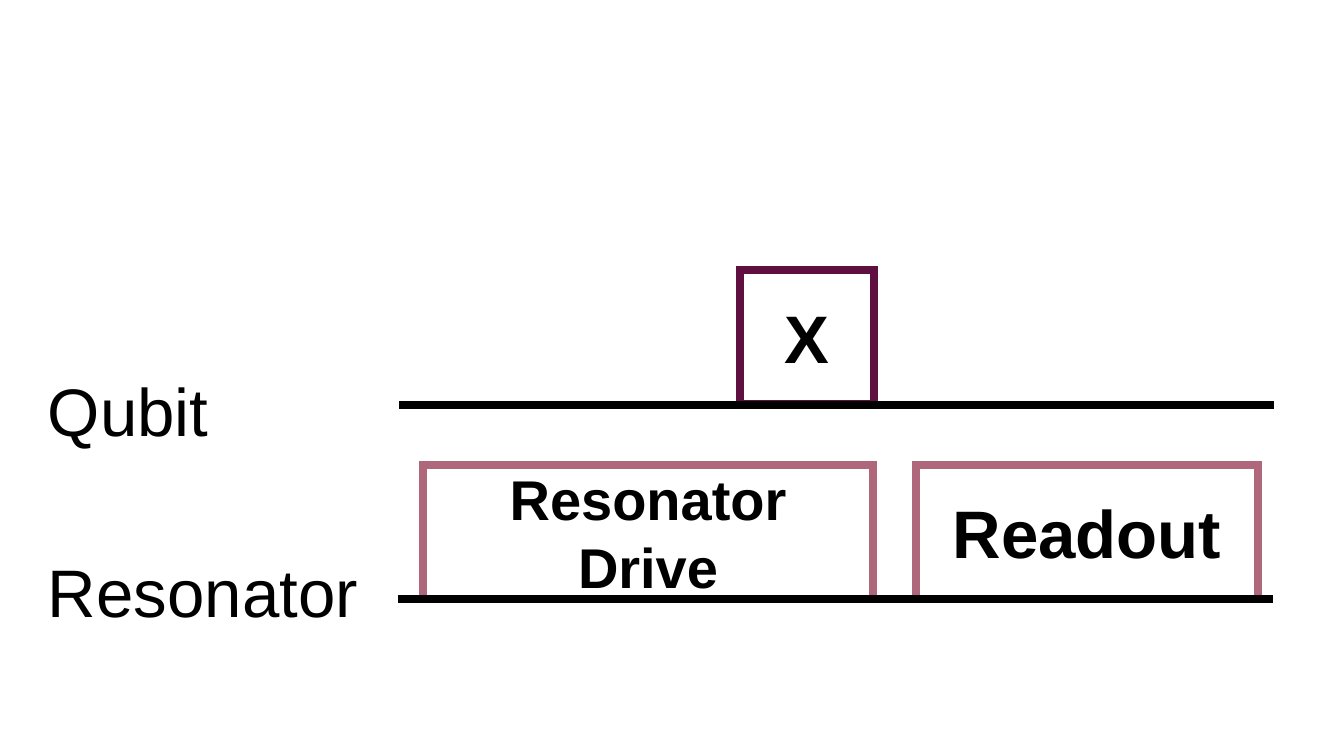
from dataclasses import dataclass

from lxml import etree
from pptx import Presentation
from pptx import util as u
from pptx.dml.color import RGBColor
from pptx.enum import shapes, text
from pptx.oxml.ns import qn

PX = 914400 / 100.8


@dataclass(frozen=True)
class Theme:
    font: str = "Arial"
    ink: str = "000000"
    resonator: str = "AF677C"
    qubit: str = "5F0F40"
    large: int = 48
    medium: int = 40
    stroke: int = 6


theme = Theme()


def px(*lengths):
    return [u.Emu(round(length * PX)) for length in lengths]


def write(box, words, size, bold=False):
    para = box.text_frame.paragraphs[0]
    span = para.add_run()
    span.text = words
    span.font.name = theme.font
    span.font.size = u.Pt(size)
    span.font.bold = bold
    span.font.color.rgb = RGBColor.from_string(theme.ink)
    return para


deck = Presentation()
deck.slide_width, deck.slide_height = px(1344, 756)
page = deck.slides.add_slide(deck.slide_layouts[6])

# Pulses: words, left, top, width, outline colour, type size
pulse_height = 134
pulses = [
    ("Resonator Drive", 423, 465, 450, theme.resonator, theme.medium),
    ("Readout", 916, 465, 342, theme.resonator, theme.large),
    ("X", 740, 270, 134, theme.qubit, theme.large),
]
for words, left, top, width, colour, size in pulses:
    pulse = page.shapes.add_shape(
        shapes.MSO_SHAPE.RECTANGLE, *px(left, top, width, pulse_height))
    pulse.shadow.inherit = False
    pulse.fill.background()
    pulse.line.color.rgb = RGBColor.from_string(colour)
    pulse.line.width = u.Pt(theme.stroke)
    # Square corners on the outline
    etree.SubElement(pulse.line._get_or_add_ln(), qn("a:miter"), lim="800000")
    pulse.text_frame.word_wrap = True
    pulse.text_frame.vertical_anchor = text.MSO_ANCHOR.MIDDLE
    write(pulse, words, size, bold=True).alignment = text.PP_ALIGN.CENTER

# Time lines
line_length = 875
for left, level in [(398, 599), (399, 405)]:
    timeline = page.shapes.add_connector(
        shapes.MSO_CONNECTOR.STRAIGHT,
        *px(left, level, left + line_length, level))
    timeline.line.color.rgb = RGBColor.from_string(theme.ink)
    timeline.line.width = u.Pt(theme.stroke)
    etree.SubElement(timeline._element.spPr, qn("a:effectLst"))

# Line labels
for words, top, width in [("Qubit", 364, 182), ("Resonator", 545, 334)]:
    label = page.shapes.add_textbox(*px(38, top, width, 92))
    label.text_frame.word_wrap = False
    label.text_frame.auto_size = text.MSO_AUTO_SIZE.SHAPE_TO_FIT_TEXT
    write(label, words, theme.large)

deck.save("out.pptx")
